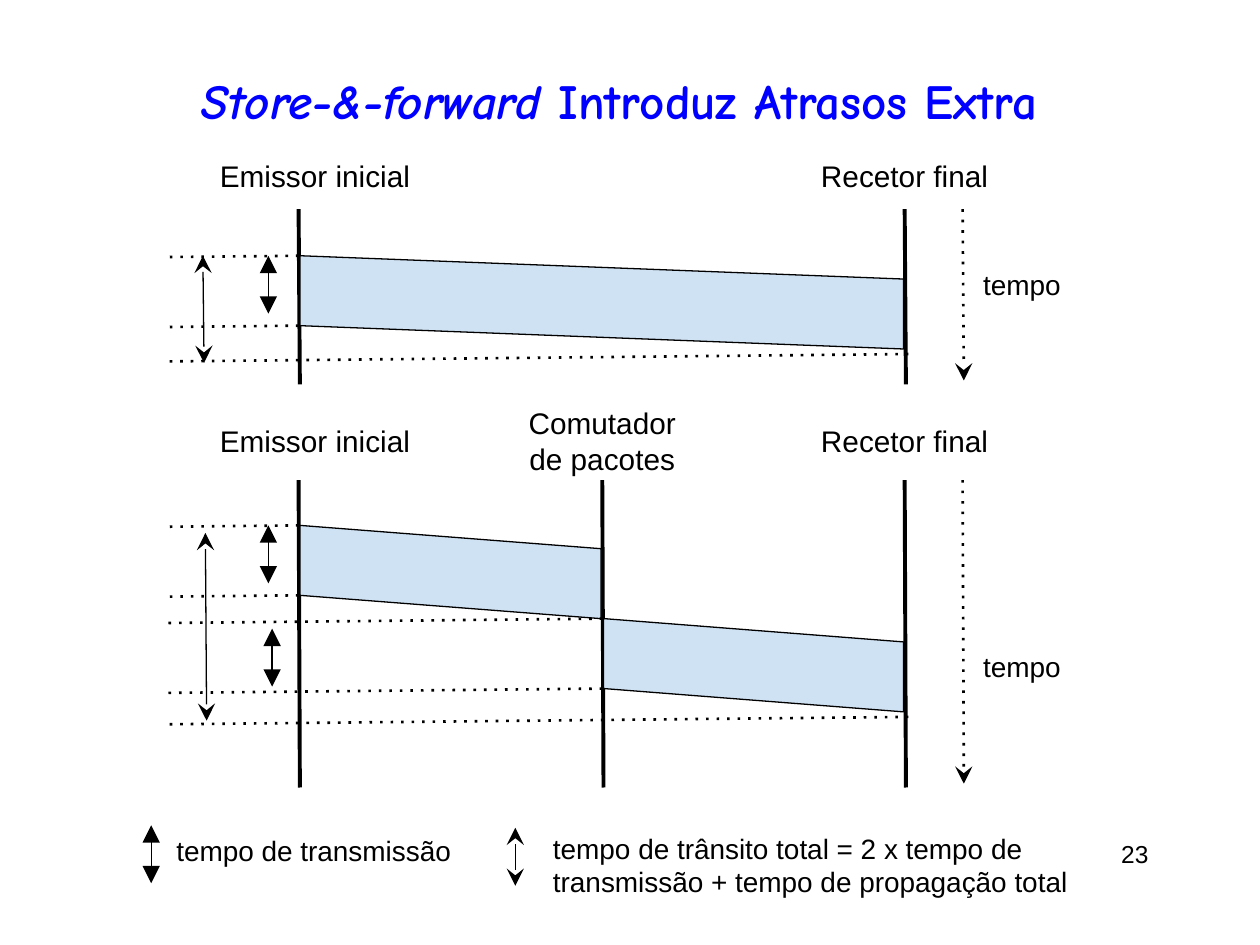
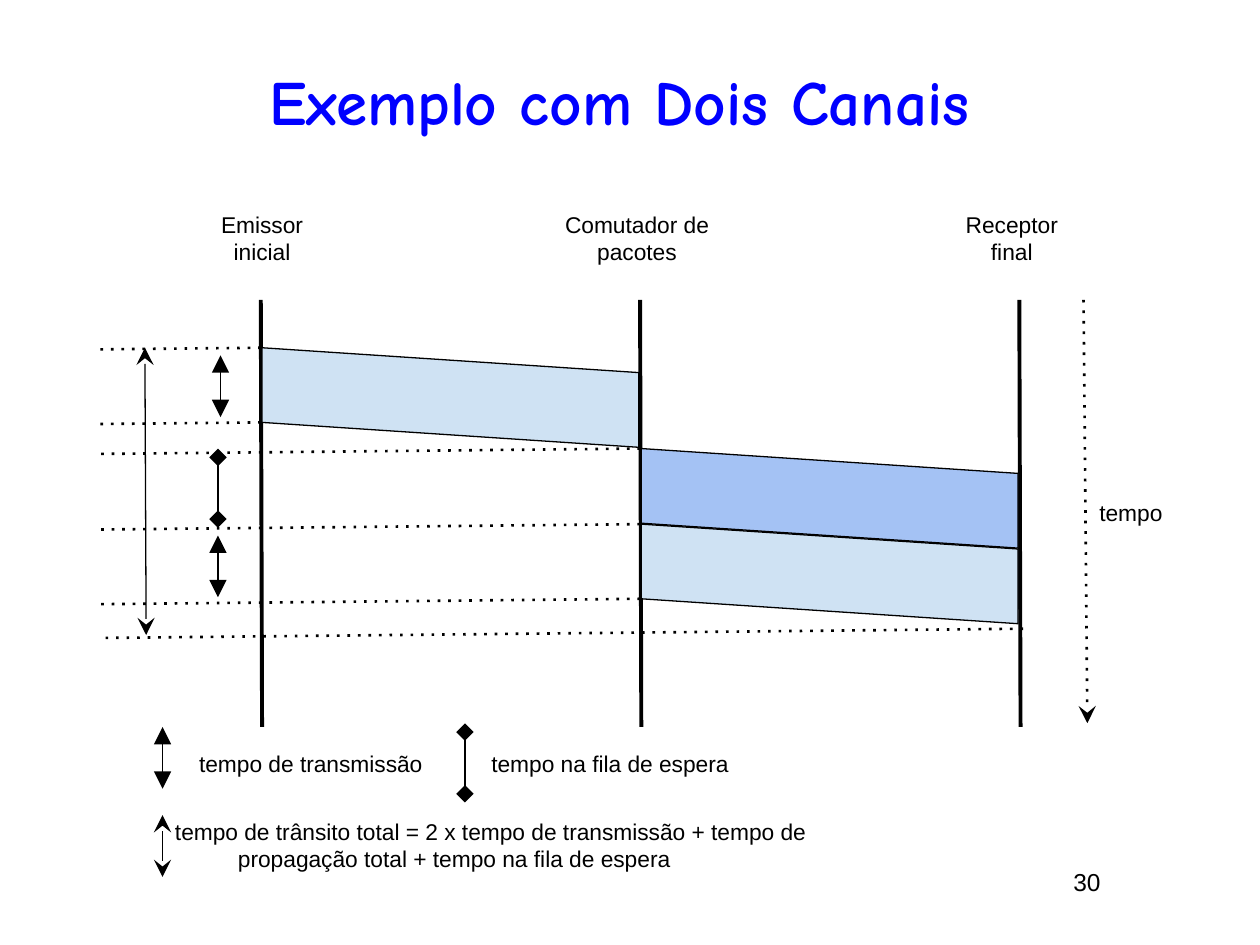
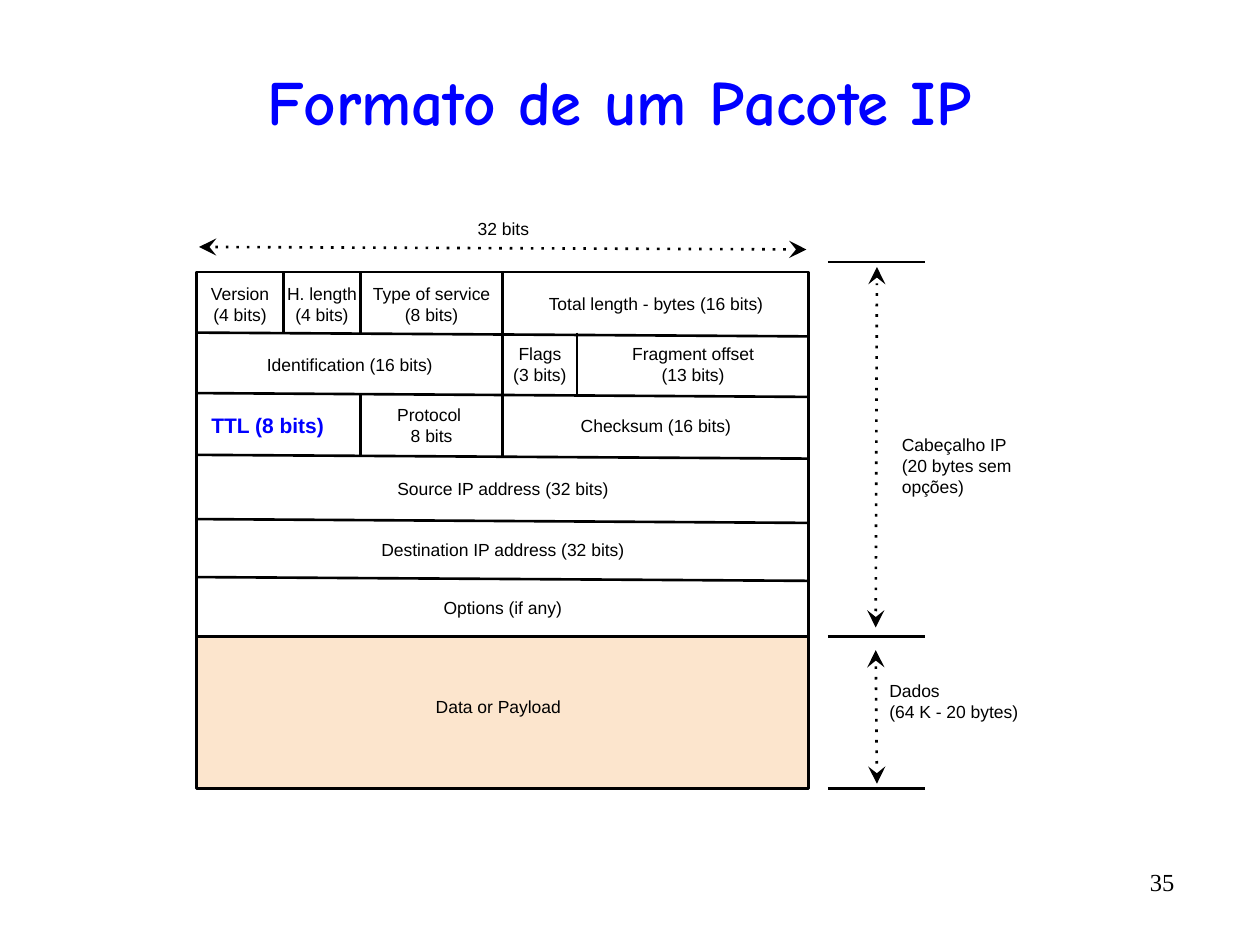
from lxml import etree
from pptx import Presentation, util as u
from pptx.dml.color import RGBColor
from pptx.enum import shapes, text
from pptx.oxml import ns

BLACK = RGBColor(0, 0, 0)
BLUE = RGBColor(0, 0, 255)
PALE = RGBColor(0xCF, 0xE2, 0xF3)
QUEUED = RGBColor(0xA4, 0xC2, 0xF4)
PEACH = RGBColor(0xFC, 0xE5, 0xCD)
BODY, TITLE, SERIF = "Arial", "Comic Neue", "Times New Roman"
LEFT, CENTER, RIGHT = text.PP_ALIGN.LEFT, text.PP_ALIGN.CENTER, text.PP_ALIGN.RIGHT
THIN, MEDIUM, THICK = 0.75, 1.5, 2.25
TITLE_BOX = (0.33, 0.42, 9.17, 0.75)
LEAN = 0.01
SKEW = 0.25

LINE_STYLES = {
    "axis": (THICK, None, None, None),
    "rule": (MEDIUM, None, None, None),
    "level": (MEDIUM, "dot", None, None),
    "time": (MEDIUM, "dot", None, "stealth"),
    "extent": (MEDIUM, "dot", "stealth", "stealth"),
    "transmission": (THIN, None, "triangle", "triangle"),
    "transit": (THIN, None, "stealth", "stealth"),
    "queue": (THIN, None, "diamond", "diamond"),
}

STORE_FORWARD = {
    "title": [("Store-&-forward ", True), ("Introduz Atrasos Extra", False)],
    "title_size": 28,
    "number": ("23", 8.8, 6.61),
    "actors": [("Emissor inicial", 2.37, 1.54, 1.92), ("Comutador de pacotes", 4.78, 4.09, 1.38),
               ("Recetor final", 7.18, 6.31, 1.74)],
    "actor_size": 17, "actor_height": 0.71,
    "time_x": 7.64, "time_lean": LEAN,
    "levels_left": 1.33,
    "packet_height": 0.74,
    "panels": [
        {"label_y": 1.04, "top": 1.66, "bottom": 3.05, "present": (0, 2),
         "packets": [(0, 2, 2.03, PALE)], "transit": (1.61, 2.03, 2.88)},
        {"label_y": 3.14, "top": 3.81, "bottom": 6.25, "present": (0, 1, 2),
         "packets": [(0, 1, 4.17, PALE), (1, 2, 4.91, PALE)], "transit": (1.63, 4.23, 5.72)},
    ],
    "mark_length": 0.46,
    "marks": [("transmission", 2.13, 2.03), ("transmission", 2.13, 4.17),
              ("transmission", 2.16, 4.99), ("transmission", 1.2, 6.55), ("transit", 4.09, 6.57)],
    "label_size": 16, "label_height": 0.71,
    "labels": [
        ("tempo", 7.42, 1.9, 1.38, CENTER),
        ("tempo", 7.42, 4.93, 1.38, CENTER),
        ("tempo de transmissão", 1.16, 6.39, 2.66, CENTER),
        ("tempo de trânsito total = 2 x tempo de transmissão + tempo de "
         "propagação total", 4.29, 6.51, 4.31, LEFT),
    ],
}

TWO_CHANNELS = {
    "title": [("Exemplo com Dois Canais", False)],
    "title_size": 36,
    "number": ("30", 8.42, 6.83),
    "actors": [("Emissor inicial", 2.07, 1.45, 1.26), ("Comutador de pacotes", 5.08, 4.19, 1.73),
               ("Receptor final", 8.09, 7.4, 1.26)],
    "actor_size": 13, "actor_height": 0.76,
    "time_x": 8.6, "time_lean": 0.03,
    "levels_left": 0.78,
    "packet_height": 0.79,
    "panels": [
        {"label_y": 1.51, "top": 2.38, "bottom": 5.77, "present": (0, 1, 2),
         "packets": [(0, 1, 2.76, PALE), (1, 2, 4.16, PALE), (1, 2, 3.56, QUEUED)],
         "transit": (1.15, 2.76, 5.04)},
    ],
    "mark_length": 0.49,
    "marks": [("transmission", 1.75, 2.82), ("queue", 1.73, 3.63), ("transmission", 1.73, 4.25),
              ("transmission", 1.29, 5.77), ("queue", 3.69, 5.81), ("transit", 1.29, 6.47)],
    "label_size": 13, "label_height": 0.49,
    "labels": [
        ("tempo", 8.53, 3.82, 0.89, CENTER),
        ("tempo de transmissão", 1.29, 5.81, 2.35, CENTER),
        ("tempo na fila de espera", 3.49, 5.81, 2.7, CENTER),
        ("tempo de trânsito total = 2 x tempo de transmissão + tempo de\n"
         "propagação total + tempo na fila de espera", 1.29, 6.46, 6.91, LEFT),
    ],
}

COLUMNS = (1.56, 2.25, 2.86, 3.99, 4.58, 6.42)
ROWS = (2.16, 2.64, 3.12, 3.61, 4.12, 4.58, 5.05)
DATA_BOTTOM = 6.26
ROW_DROP = 0.03
FIELD_SPILL = 0.09
FIELDS = [
    [("Version\n(4 bits)", 0, 1), ("H. length\n(4 bits)", 1, 2),
     ("Type of service\n(8 bits)", 2, 3), ("Total length - bytes (16 bits)", 3, 5)],
    [("Identification (16 bits)", 0, 3), ("Flags\n(3 bits)", 3, 4),
     ("Fragment offset\n(13 bits)", 4, 5)],
    [("TTL (8 bits)", 0, 2), ("Protocol \n8 bits", 2, 3), ("Checksum (16 bits)", 3, 5)],
    [("Source IP address (32 bits)", 0, 5)],
    [("Destination IP address (32 bits)", 0, 5)],
    [("Options (if any)", 0, 5)],
]
TTL_BOX = (1.56, 3.19, 1.13, 0.37)
BRACKET_LEFT, BRACKET_RIGHT, BRACKET_TOP = 6.57, 7.34, 2.08
EXTENTS = [(1.58, 1.96, 6.4, 1.98), (6.95, 4.98, 6.96, 2.12), (6.95, 5.16, 6.96, 6.22)]
NOTES = [
    ("32 bits", (3.55, 1.65, 0.89, 0.33), CENTER),
    ("Data or Payload", (3.36, 5.44, 1.22, 0.33), LEFT),
    ("Cabeçalho IP\n(20 bytes sem\nopções)", (7.06, 3.44, 1.13, 0.51), LEFT),
    ("Dados \n(64 K - 20 bytes)", (6.96, 5.31, 1.34, 0.51), LEFT),
]


def inch(v):
    return u.Cm(v * 2.54)


def style_run(r, size, color, font, bold=False, italic=False):
    r.font.size, r.font.name = u.Pt(size), font
    r.font.bold, r.font.italic = bold, italic
    r.font.color.rgb = color


def add_box(s, box, pad=0.1, anchor=text.MSO_ANCHOR.MIDDLE):
    tf = s.shapes.add_textbox(*map(inch, box)).text_frame
    tf.word_wrap = True
    tf.vertical_anchor = anchor
    tf.margin_left = tf.margin_right = inch(0.1)
    tf.margin_top = tf.margin_bottom = inch(pad)
    return tf


def add_label(s, words, box, size, align=LEFT, color=BLACK, font=BODY, bold=False, **frame):
    tf = add_box(s, box, **frame)
    tf.text = words
    for p in tf.paragraphs:
        p.alignment = align
        for r in p.runs:
            style_run(r, size, color, font, bold)
    return tf


def add_title(s, parts, size, pad=0.1):
    p = add_box(s, TITLE_BOX, pad).paragraphs[0]
    p.alignment = CENTER
    for words, italic in parts:
        r = p.add_run()
        r.text = words
        style_run(r, size, BLUE, TITLE, True, italic)


def add_number(s, words, x, y, align=LEFT, font=BODY):
    add_label(s, words, (x, y, 1, 0.42), 14, align, font=font,
              pad=0.05, anchor=text.MSO_ANCHOR.TOP)


def add_line(s, style, *ends):
    width, dash, head, tail = LINE_STYLES[style]
    c = s.shapes.add_connector(shapes.MSO_CONNECTOR.STRAIGHT, *map(inch, ends))
    c.line.color.rgb = BLACK
    c.line.width = u.Pt(width)
    ln = c.line._get_or_add_ln()
    if dash:
        etree.SubElement(ln, ns.qn("a:prstDash"), val=dash)
    for tag, kind in (("a:headEnd", head), ("a:tailEnd", tail)):
        if kind:
            etree.SubElement(ln, ns.qn(tag), type=kind, w="lg", len="lg")
    etree.SubElement(c._element.spPr, ns.qn("a:effectLst"))


def add_preset(s, kind, box, fill, width):
    sp = s.shapes.add_shape(kind, *map(inch, box))
    sp.shadow.inherit = False
    if fill is None:
        sp.fill.background()
    else:
        sp.fill.solid()
        sp.fill.fore_color.rgb = fill
    sp.line.color.rgb = BLACK
    sp.line.width = u.Pt(width)
    return sp


def add_packet(s, x, y, w, h, fill):
    box = (x + (w - h) / 2, y + (h - w) / 2, h, w)
    sp = add_preset(s, shapes.MSO_SHAPE.PARALLELOGRAM, box, fill, THIN)
    sp.adjustments[0] = SKEW
    sp.rotation = 90


def add_panel(s, d, panel):
    top, bottom, h = panel["top"], panel["bottom"], d["packet_height"]
    axes = [x for name, x, label_x, w in d["actors"]]
    for i in panel["present"]:
        name, x, label_x, w = d["actors"][i]
        add_line(s, "axis", x, top, x + LEAN, bottom)
        add_label(s, name, (label_x, panel["label_y"], w, d["actor_height"]),
                  d["actor_size"], CENTER)
    levels = []
    for start, end, y, fill in panel["packets"]:
        add_packet(s, axes[start] + 0.01, y, axes[end] - axes[start] - 0.02, h, fill)
        levels.append((axes[start], y))
        if fill == PALE:
            levels.append((axes[start], y + h * (1 - SKEW)))
    arrival = max(y for start, end, y, fill in panel["packets"]) + h
    levels.append((axes[-1] + 0.03, arrival + 0.04))
    left = d["levels_left"]
    for x, y in levels:
        add_line(s, "level", x, y, left, y + LEAN * (x - left))
    x = d["time_x"]
    add_line(s, "time", x, top, x + d["time_lean"], bottom - 0.03)
    x, first, last = panel["transit"]
    add_line(s, "transit", x, first, x + LEAN, last)


def add_timing(s, d):
    add_title(s, d["title"], d["title_size"])
    add_number(s, *d["number"])
    for panel in d["panels"]:
        add_panel(s, d, panel)
    for style, x, y in d["marks"]:
        add_line(s, style, x, y, x, y + d["mark_length"])
    for words, x, y, w, align in d["labels"]:
        tf = add_label(s, words, (x, y, w, d["label_height"]), d["label_size"], align)
        for p in tf.paragraphs[1:]:
            pPr = p._p.get_or_add_pPr()
            pPr.set("marL", "0")
            pPr.set("indent", str(int(inch(0.5))))


def add_packet_format(s):
    add_title(s, [("Formato de um Pacote IP", False)], 36, 0.05)
    add_number(s, "35", 8.42, 6.83, RIGHT, SERIF)
    left, right, data_top = COLUMNS[0], COLUMNS[-1], ROWS[-1]
    for top, bottom, fill in ((ROWS[0], data_top, None), (data_top, DATA_BOTTOM, PEACH)):
        add_preset(s, shapes.MSO_SHAPE.RECTANGLE, (left, top, right - left, bottom - top),
                   fill, MEDIUM)
    for y in ROWS[1:-1]:
        add_line(s, "rule", left, y, right, y + ROW_DROP)
    for fields, top, bottom in zip(FIELDS, ROWS, ROWS[1:]):
        for words, start, end in fields:
            x = COLUMNS[start]
            if start:
                add_line(s, "rule", x, top, x, bottom + ROW_DROP / 2)
            if words.startswith("TTL"):
                add_label(s, words, TTL_BOX, 12, CENTER, BLUE, bold=True)
            else:
                box = (x - FIELD_SPILL, top + LEAN,
                       COLUMNS[end] - x + 2 * FIELD_SPILL, bottom - top)
                add_label(s, words, box, 10, CENTER)
    for y in (BRACKET_TOP, data_top, DATA_BOTTOM):
        add_line(s, "rule", BRACKET_LEFT, y, BRACKET_RIGHT, y)
    for ends in EXTENTS:
        add_line(s, "extent", *ends)
    for words, box, align in NOTES:
        add_label(s, words, box, 10, align)


prs = Presentation()
prs.slide_width, prs.slide_height = u.Cm(25.4), u.Cm(19.05)
blank = prs.slide_layouts[6]
for timing in (STORE_FORWARD, TWO_CHANNELS):
    add_timing(prs.slides.add_slide(blank), timing)
add_packet_format(prs.slides.add_slide(blank))
prs.save("out.pptx")
